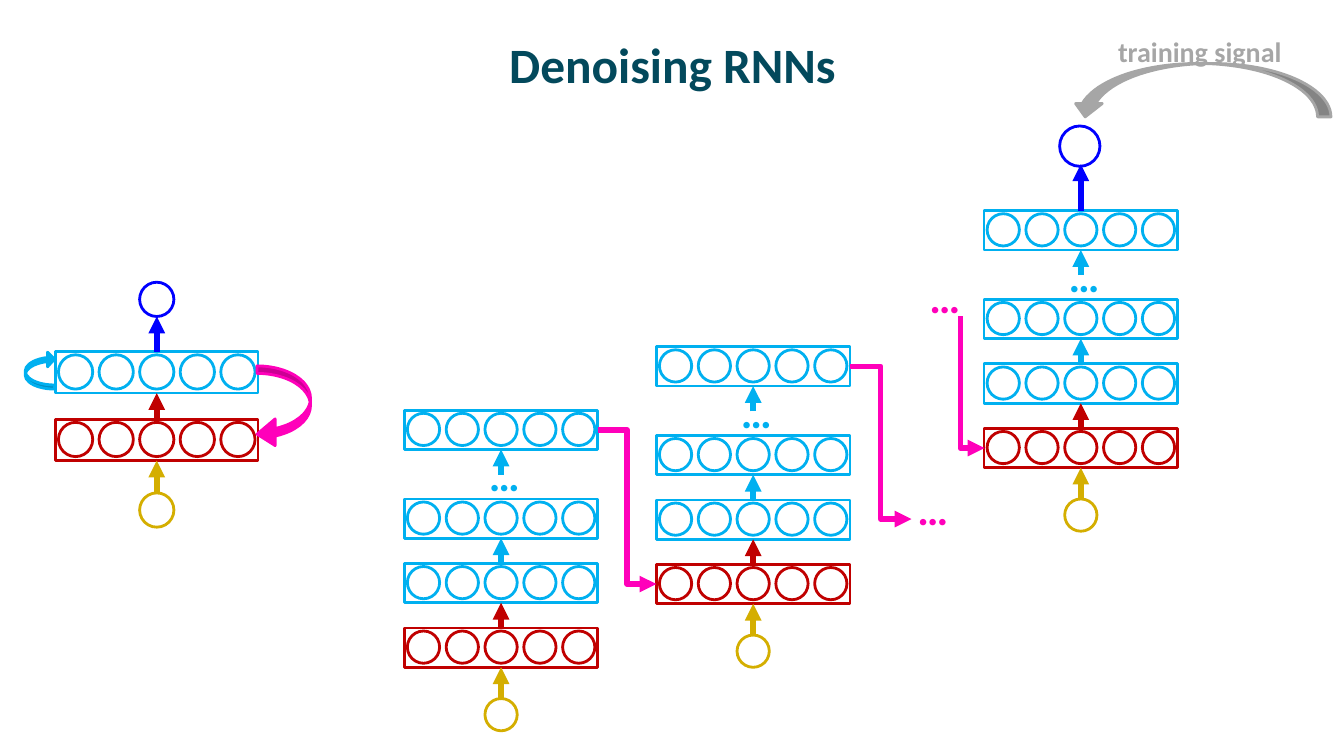
from lxml.etree import SubElement
from pptx import Presentation
from pptx.dml.color import RGBColor
from pptx.enum.shapes import MSO_CONNECTOR, MSO_SHAPE
from pptx.enum.text import MSO_ANCHOR, MSO_AUTO_SIZE, PP_ALIGN
from pptx.oxml.ns import qn
from pptx.util import Inches, Pt

# Content
TITLE = "Denoising RNNs"
SIGNAL = "training signal"
DOTS = "…"
FONT = "Calibri"
COLORS = {
    "title": "03495C", "input": "D4AE00", "embedding": "C00000",
    "hidden": "00B0F0", "output": "0000FF", "feedback": "FF00BA",
    "signal": "A6A6A6",
}
UNITS = 5
PAD = 0.03

# Unrolled stacks: left and top of each; layer offsets run from top to bottom
STACKS = [(4.01, 4.07), (6.51, 3.44), (9.76, 2.09)]
STACK_LAYERS = [("hidden", 0), ("hidden", 0.88), ("hidden", 1.52), ("embedding", 2.16)]
STACK_SIZE = (1.92, 0.39, 0.32)     # layer width, layer height, unit diameter
STACK_INPUT = 2.86
STACK_DOTS = (0.74, 0.33)
STACK_GAP = 0.64                    # start of the arrow above the dots

# Compact recurrent network
COMPACT_LEFT = 0.55
COMPACT_SIZE = (2.01, 0.41, 0.34)
COMPACT_TOPS = {"output": 2.8, "hidden": 3.49, "embedding": 4.16, "input": 4.89}

# Sides of a rectangle, by connection site
TOP, LEFT, BOTTOM, RIGHT = range(4)

prs = Presentation()
prs.slide_width, prs.slide_height = Inches(13.33), Inches(7.5)
slide = prs.slides.add_slide(prs.slide_layouts[5])
shapes = slide.shapes


def rgb(role):
    return RGBColor.from_string(COLORS[role])


def box(kind, role, left, top, width, height, filled=False):
    part = shapes.add_shape(kind, *map(Inches, (left, top, width, height)))
    part.shadow.inherit = False
    if filled:
        part.fill.solid()
        part.fill.fore_color.rgb = rgb(role)
    else:
        part.fill.background()
    part.line.color.rgb = rgb(role)
    part.line.width = Pt(2)
    return part


def circle(role, left, top, diameter):
    return box(MSO_SHAPE.OVAL, role, left, top, diameter, diameter)


def layer(role, left, top, size):
    width, height, diameter = size
    pitch = (width - 2 * PAD - diameter) / (UNITS - 1)
    for unit in range(UNITS):
        circle(role, left + PAD + unit * pitch, top + PAD, diameter)
    return box(MSO_SHAPE.RECTANGLE, role, left, top, width, height)


def input_unit(left, top, size):
    width, _, diameter = size
    return circle("input", left + (width - diameter) / 2, top, diameter)


def arrow(role, start, end, kind=MSO_CONNECTOR.STRAIGHT):
    """Each end is an (x, y) point in inches or a (shape, site) pair."""
    free = [(0, 0) if hasattr(tip[0], "shape_id") else tip for tip in (start, end)]
    line = shapes.add_connector(kind, *(Inches(v) for tip in free for v in tip))
    if hasattr(start[0], "shape_id"):
        line.begin_connect(*start)
    if hasattr(end[0], "shape_id"):
        line.end_connect(*end)
    line.line.color.rgb = rgb(role)
    line.line.width = Pt(4)
    SubElement(line.line._get_or_add_ln(), qn("a:tailEnd"), type="triangle")
    SubElement(line._element.spPr, qn("a:effectLst"))
    return line


def write(frame, text, role, size):
    run = frame.paragraphs[0].add_run()
    run.text = text
    run.font.name = FONT
    run.font.size = Pt(size)
    run.font.bold = True
    run.font.color.rgb = rgb(role)


def label(text, role, size, left, top, width, height):
    frame = shapes.add_textbox(*map(Inches, (left, top, width, height))).text_frame
    frame.word_wrap = False
    frame.auto_size = MSO_AUTO_SIZE.SHAPE_TO_FIT_TEXT
    write(frame, text, role, size)


def dots(role, left, top):
    label(DOTS, role, 31, left, top, 0.51, 0.62)


def curved(kind, role, place, adjustments=(), rotation=0):
    part = box(kind, role, *place, filled=True)
    for index, value in enumerate(adjustments):
        part.adjustments[index] = value
    part.rotation = rotation


# Title
title = shapes.title
title.left, title.top, title.width, title.height = map(Inches, (0.67, 0.17, 12, 0.92))
title.text_frame.vertical_anchor = MSO_ANCHOR.MIDDLE
title.text_frame.paragraphs[0].alignment = PP_ALIGN.CENTER
write(title.text_frame, TITLE, "title", 35.3)

# Compact recurrent network
width, _, diameter = COMPACT_SIZE
middle = COMPACT_LEFT + width / 2
source = input_unit(COMPACT_LEFT, COMPACT_TOPS["input"], COMPACT_SIZE)
embedding, hidden = (layer(role, COMPACT_LEFT, COMPACT_TOPS[role], COMPACT_SIZE)
                     for role in ("embedding", "hidden"))
circle("output", middle - diameter / 2, COMPACT_TOPS["output"], diameter)
arrow("input", (source, TOP), (embedding, BOTTOM))
arrow("embedding", (embedding, TOP), (hidden, BOTTOM))
arrow("output", (hidden, TOP), (middle, COMPACT_TOPS["output"] + diameter))
curved(MSO_SHAPE.CURVED_LEFT_ARROW, "feedback", (2.55, 3.63, 0.53, 0.81),
       (0.141, 0.5, 0.339))
curved(MSO_SHAPE.CURVED_LEFT_ARROW, "hidden", (0.25, 3.49, 0.29, 0.37),
       (0.141, 0.5, 0.238), 180)

# Unrolled stacks
stacks = []
for left, top in STACKS:
    last, upper, lower, embedding = (
        layer(role, left, top + offset, STACK_SIZE) for role, offset in STACK_LAYERS)
    source = input_unit(left, top + STACK_INPUT, STACK_SIZE)
    arrow("input", (source, TOP), (embedding, BOTTOM))
    arrow("embedding", (embedding, TOP), (lower, BOTTOM))
    arrow("hidden", (lower, TOP), (upper, BOTTOM))
    arrow("hidden", (left + STACK_SIZE[0] / 2, top + STACK_GAP), (last, BOTTOM))
    dots("hidden", left + STACK_DOTS[0], top + STACK_DOTS[1])
    stacks.append((last, embedding))

# Feedback between the stacks
(first_last, _), (second_last, second_embedding), (final_last, _) = stacks
arrow("feedback", (first_last, RIGHT), (second_embedding, LEFT), MSO_CONNECTOR.ELBOW)
arrow("feedback", (second_last, RIGHT), (9.04, 5.15), MSO_CONNECTOR.ELBOW)
dots("feedback", 9, 4.73)
dots("feedback", 9.12, 2.63)

# Single-bend elbow, turned to run down and then right
arrival = arrow("feedback", (10.3, 3.67), (8.99, 3.91), MSO_CONNECTOR.ELBOW)
arrival._element.spPr.find(qn("a:prstGeom")).set("prst", "bentConnector2")
arrival._element.spPr.find(qn("a:xfrm")).set("rot", str(270 * 60000))

# Final output and training signal
circle("output", 10.51, 1.25, 0.4)
arrow("output", (final_last, TOP), (10.72, 1.63))
curved(MSO_SHAPE.CURVED_RIGHT_ARROW, "signal", (11.65, -0.39, 0.53, 2.57), rotation=90)
label(SIGNAL, "signal", 20, 10.99, 0.29, 2.01, 0.29)

prs.save("out.pptx")
